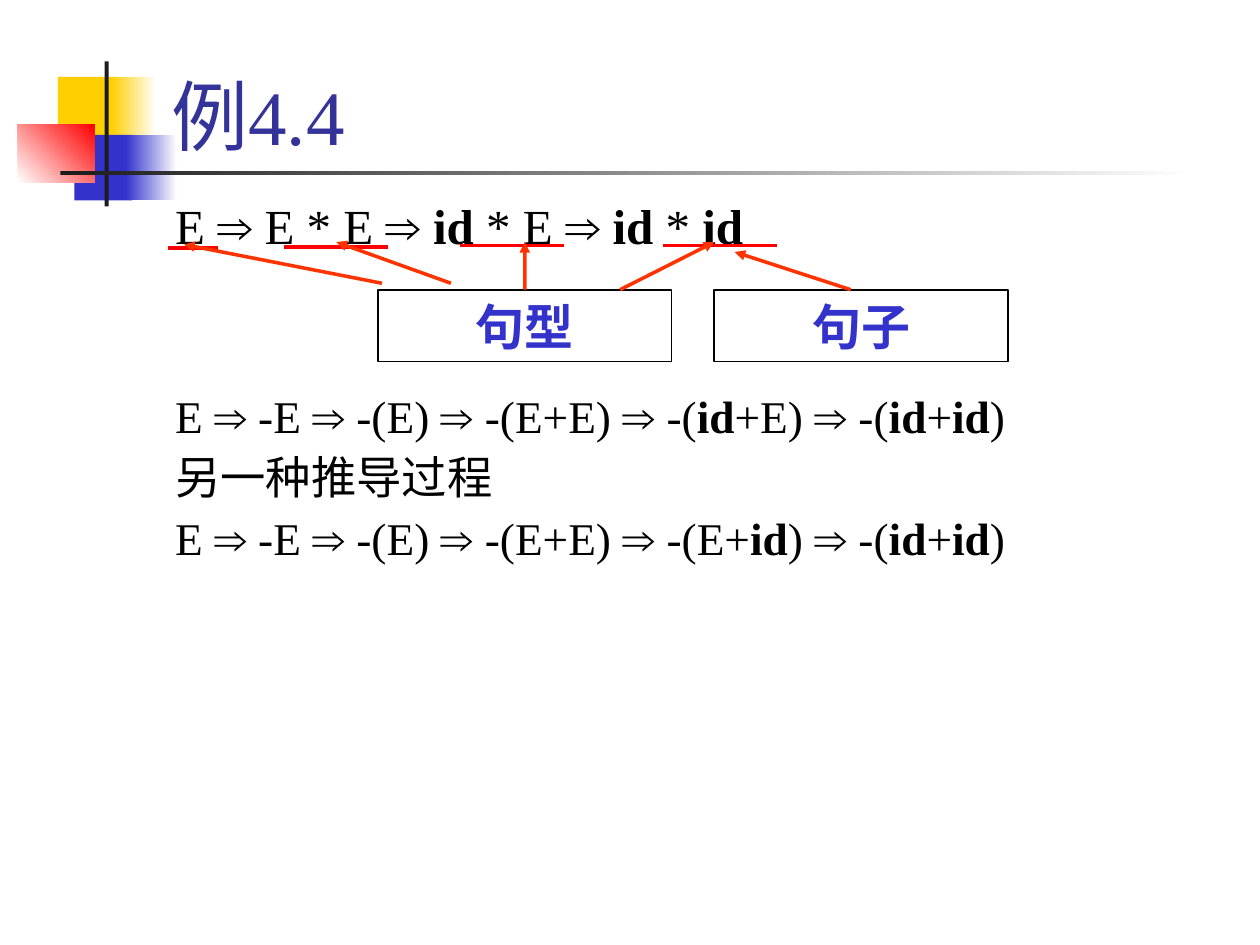
from pptx import Presentation
from pptx.dml.color import RGBColor as RGB
from pptx.enum.shapes import MSO_CONNECTOR as LINK, MSO_SHAPE as SHAPE
from pptx.enum.text import MSO_ANCHOR as ANCHOR, PP_ALIGN as ALIGN
from pptx.oxml.ns import qn
from pptx.util import Cm, Pt
from lxml.etree import SubElement

HUES = {
    "gold": "FFCF01", "blue": "3333CC", "red": "FF0000", "dark": "1C1C1C",
    "white": "FFFFFF", "black": "000000", "title": "333399", "arrow": "FF3300",
}
SERIF, SANS = "Times New Roman", "Arial"


def hue(name):
    return RGB.from_string(HUES[name])


def style(font, **form):
    base = {"name": SERIF, "bold": False}
    for key, val in {**base, **form}.items():
        if key == "color":
            font.color.rgb = hue(val)
        else:
            setattr(font, key, val)


def add_rect(slide, left, top, width, height):
    rect = slide.shapes.add_shape(
        SHAPE.RECTANGLE, Cm(left), Cm(top), Cm(width), Cm(height))
    rect.shadow.inherit = False
    return rect


def add_line(slide, start, end, color, head=False):
    line = slide.shapes.add_connector(
        LINK.STRAIGHT, *[Cm(v) for v in (*start, *end)])
    line.line.width = Pt(2)
    line.line.color.rgb = hue(color)
    props = line._element.spPr
    if head:
        SubElement(props.find(qn("a:ln")), qn("a:tailEnd"), type="triangle")
    SubElement(props, qn("a:effectLst"))
    return line


def add_motif(slide, left, top):
    parts = [
        (0.81, 0.31, 1.22, 1.32, ("gold",), 0),
        (1.88, 0.31, 0.91, 1.32, ("gold", "white"), 0),
        (1.14, 1.48, 1.17, 1.32, ("blue",), 0),
        (2.18, 1.48, 1.02, 1.32, ("blue", "white"), 0),
        (0, 1.27, 1.55, 1.17, ("white", "red"), 45),
        (1.75, 0, 0.08, 2.92, ("dark",), 0),
        (0.86, 2.21, 22.86, 0.08, ("dark", "white"), 0),
    ]
    for x, y, width, height, hues, angle in parts:
        rect = add_rect(slide, left + x, top + y, width, height)
        rect.line.fill.background()
        if len(hues) == 1:
            rect.fill.solid()
            rect.fill.fore_color.rgb = hue(hues[0])
            continue
        rect.fill.gradient()
        rect.fill.gradient_angle = angle
        for stop, name in zip(rect.fill.gradient_stops, hues):
            stop.color.rgb = hue(name)


def add_title(slide, text, left, top, width, height):
    title = slide.shapes.title
    place = {"left": left, "top": top, "width": width, "height": height}
    for key, val in place.items():
        setattr(title, key, Cm(val))
    frame = title.text_frame
    frame.text = text
    frame.vertical_anchor = ANCHOR.BOTTOM
    para = frame.paragraphs[0]
    para.alignment = ALIGN.LEFT
    style(para.runs[0].font, size=Pt(44), color="title")


def add_steps(slide, lines, size, space, left, top, width, height):
    box = slide.shapes.add_textbox(Cm(left), Cm(top), Cm(width), Cm(height))
    frame = box.text_frame
    frame.word_wrap = True
    for num, text in enumerate(lines):
        para = frame.add_paragraph() if num else frame.paragraphs[0]
        para.line_spacing = space
        if num:
            para.space_before = Pt(7)
        marked = text.replace("id", "|id|").replace("⇒", "|⇒|")
        for part in filter(None, marked.split("|")):
            run = para.add_run()
            run.text = part
            style(run.font, size=Pt(size), color="black", bold=part == "id",
                  name=SANS if part == "⇒" else SERIF)


def add_label(slide, text, left, top, width, height):
    rect = add_rect(slide, left, top, width, height)
    rect.fill.background()
    rect.line.color.rgb = hue("black")
    rect.line.width = Pt(1)
    frame = rect.text_frame
    frame.word_wrap = True
    frame.vertical_anchor = ANCHOR.MIDDLE
    para = frame.paragraphs[0]
    para.alignment = ALIGN.CENTER
    run = para.add_run()
    run.text = text
    style(run.font, size=Pt(28), color="blue", bold=True)
    return rect


def add_forms(slide, left, top):
    add_steps(slide, ["E ⇒ E * E ⇒ id * E ⇒ id * id"], 28, 1,
              left, top, 21.59, 1.47)
    form, _ = [add_label(slide, text, left + x, top + 2.03, 5.92, 1.45)
               for text, x in (("句型", 4.34), ("句子", 11.12))]
    for x, y, width in ((0.1, 1.19, 1.02), (2.44, 1.17, 2.11),
                        (5.99, 1.14, 2.11), (10.08, 1.14, 2.31)):
        add_line(slide, (left + x, top + y), (left + x + width, top + y), "red")
    for x1, y1, x2, y2 in ((4.42, 1.9, 0.43, 1.12), (5.81, 1.9, 3.5, 1.07),
                           (9.22, 2.03, 11.12, 1.07),
                           (13.87, 2.03, 11.53, 1.27)):
        add_line(slide, (left + x1, top + y1), (left + x2, top + y2),
                 "arrow", True)
    stem = add_line(slide, (left + 7.3, top + 2.03), (left + 7.3, top + 1.07),
                    "arrow", True)
    stem.begin_connect(form, 0)


def main():
    deck = Presentation()
    deck.slide_width, deck.slide_height = Cm(25.4), Cm(19.05)
    slide = deck.slides.add_slide(deck.slide_layouts[5])
    add_motif(slide, 0.36, 1.24)
    add_title(slide, "例4.4", 3.2, 0.2, 21.64, 3.18)
    add_forms(slide, 3.28, 3.81)
    add_steps(slide, [
        "E ⇒ -E ⇒ -(E) ⇒ -(E+E) ⇒ -(id+E) ⇒ -(id+id)",
        "另一种推导过程",
        "E ⇒ -E ⇒ -(E) ⇒ -(E+E) ⇒ -(E+id) ⇒ -(id+id)",
    ], 25.9, 0.9, 3.28, 7.82, 21.59, 4.24)
    deck.save("out.pptx")


if __name__ == "__main__":
    main()
